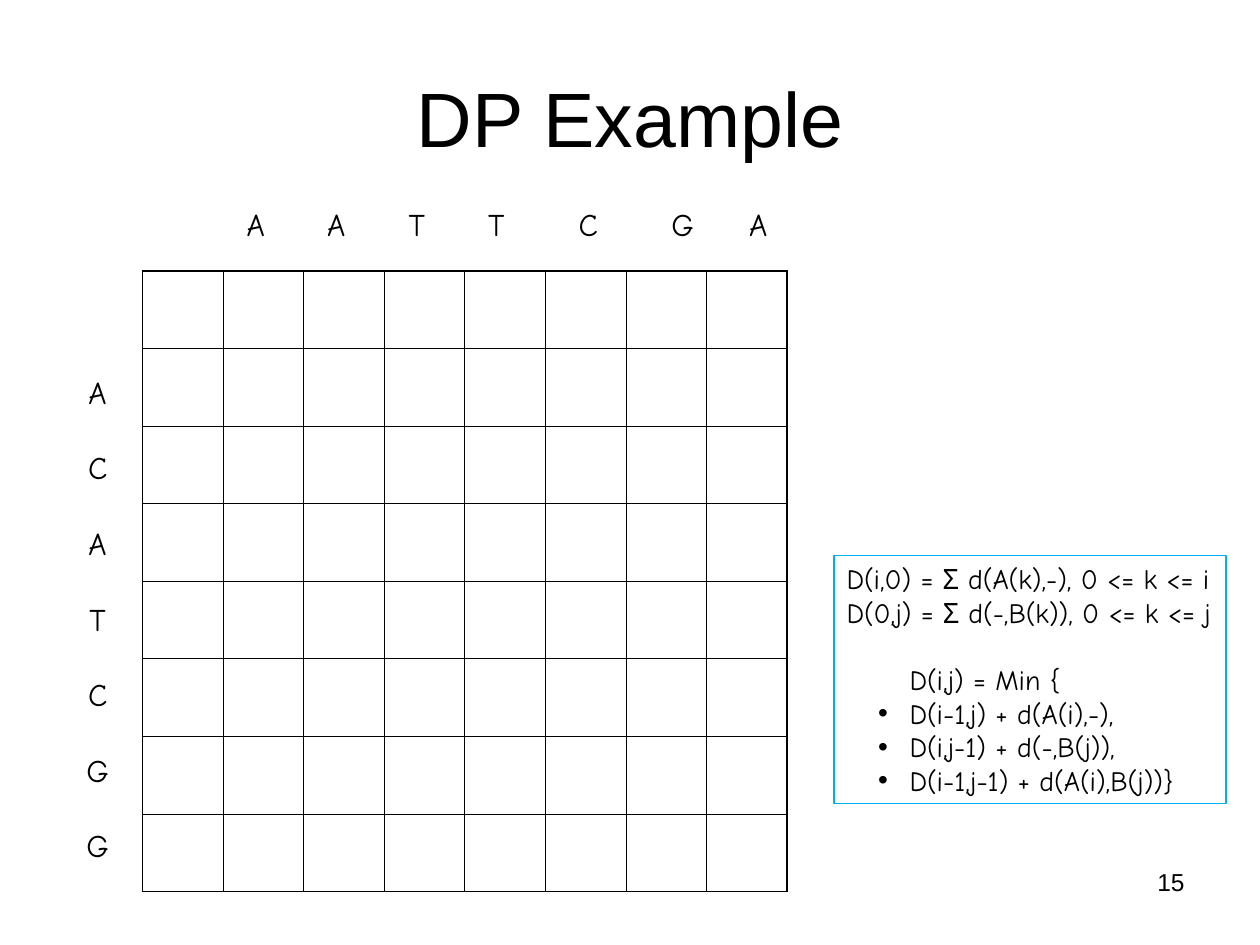
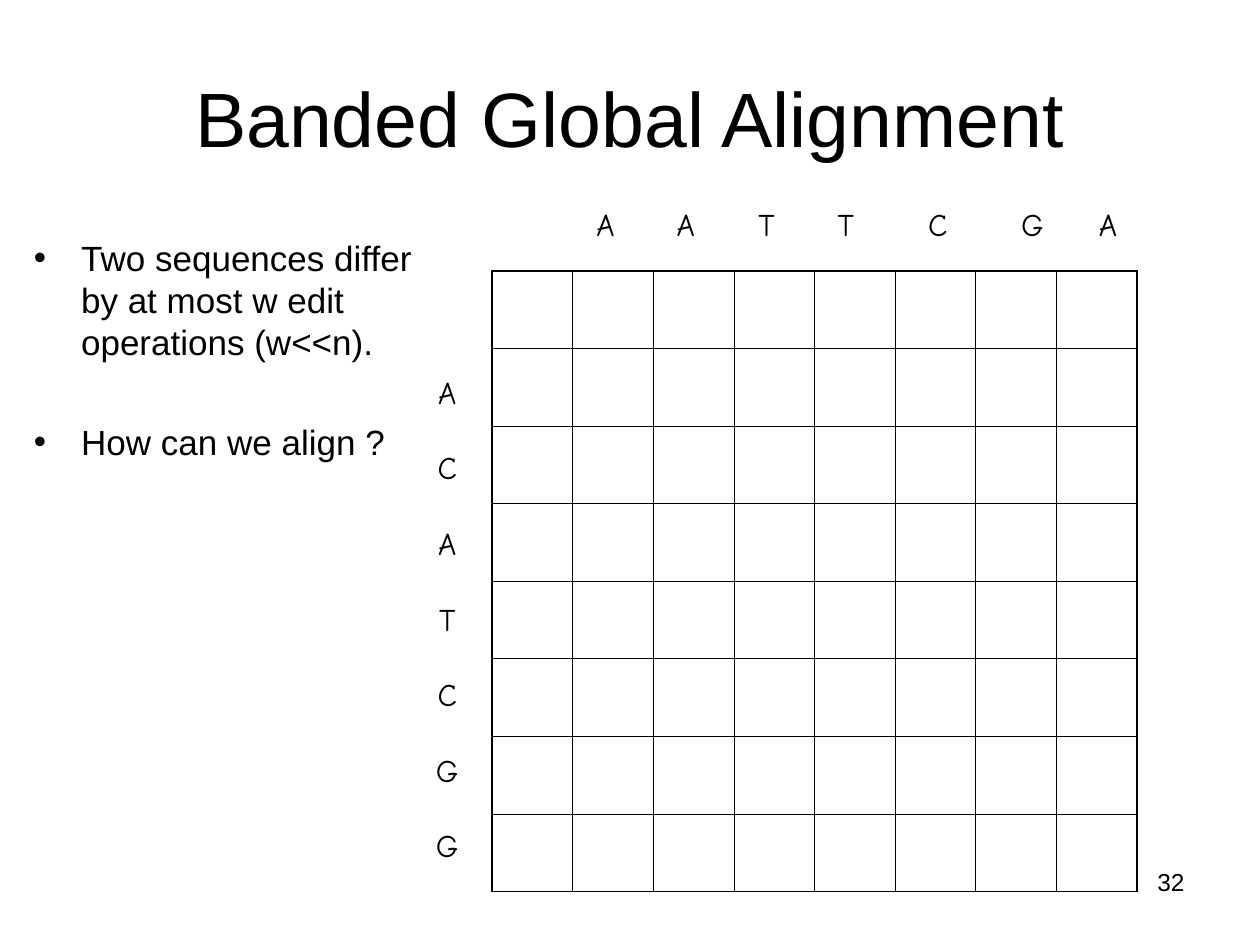
from lxml.etree import SubElement
from pptx import Presentation
from pptx.dml.color import RGBColor
from pptx.enum.shapes import MSO_SHAPE
from pptx.enum.text import MSO_ANCHOR as Anchor, PP_ALIGN as Align
from pptx.oxml.ns import qn
from pptx.util import Inches, Pt

COLOURS = {"ink": "000000", "formula_line": "00B0F0"}
SANS, HAND = "Arial", "Comic Neue"
COLUMNS, ROWS = 100, 75

TOP_SEQUENCE, SIDE_SEQUENCE = "AATTCGA", "ACATCGG"
LETTER_STOPS = [7.1, 13.5, 19.8, 27.1, 34.6, 40.6]  # columns, from the first letter
CELL, CELL_HEIGHT = 6.4, 6.16
INNER_LINE, OUTER_LINE = 0.45, 1.08


class Deck:
    """Holds the shared style and the current slide; lengths are grid columns and rows."""

    def __init__(self):
        self.prs = Presentation()
        self.prs.slide_width, self.prs.slide_height = Inches(10), Inches(7.5)
        self.slide = None

    def x(self, columns):
        return int(self.prs.slide_width * columns / COLUMNS)

    def y(self, rows):
        return int(self.prs.slide_height * rows / ROWS)

    def box(self, left, top, width, height):
        return self.x(left), self.y(top), self.x(width), self.y(height)

    def colour(self, name):
        return RGBColor.from_string(COLOURS[name])

    def set_lines(self, frame, lines, size, font, align=Align.LEFT, wrap=True):
        frame.text = "\n".join(lines)
        frame.word_wrap = wrap
        for paragraph in frame.paragraphs:
            paragraph.alignment = align
            for run in paragraph.runs:
                run.font.size, run.font.name = Pt(size), font
                run.font.color.rgb = self.colour("ink")
        return frame.paragraphs

    def text(self, area, lines, size, font, **style):
        frame = self.slide.shapes.add_textbox(*self.box(*area)).text_frame
        return self.set_lines(frame, lines, size, font, **style)

    def indent(self, paragraph, margin, hanging=0):
        """Indent a paragraph; a hanging part holds a bullet."""
        props = paragraph._p.get_or_add_pPr()
        props.set("marL", str(self.x(margin)))
        props.set("indent", str(-self.x(hanging)))
        if hanging:
            ink = SubElement(props, qn("a:buClr"))
            SubElement(ink, qn("a:srgbClr"), val=COLOURS["ink"])
            SubElement(props, qn("a:buFont"), typeface=SANS)
            SubElement(props, qn("a:buChar"), char="•")

    def new_slide(self, heading, number):
        self.slide = self.prs.slides.add_slide(self.prs.slide_layouts[5])
        title = self.slide.shapes.title
        title.left, title.top, title.width, title.height = self.box(5, 3, 90, 12.5)
        title.text_frame.vertical_anchor = Anchor.MIDDLE
        self.set_lines(title.text_frame, [heading], 44, SANS, Align.CENTER)
        self.text((71.7, 68.3, 23.3, 5.2), [str(number)], 14, SANS, align=Align.RIGHT)

    def border(self, cell, side, width):
        line = SubElement(cell._tc.get_or_add_tcPr(), qn(f"a:ln{side}"), w=str(Pt(width)))
        fill = SubElement(line, qn("a:solidFill"))
        SubElement(fill, qn("a:srgbClr"), val=COLOURS["ink"])

    def alignment_matrix(self, left):
        """Empty matrix with one sequence above it and one beside it."""
        columns, rows = len(TOP_SEQUENCE) + 1, len(SIDE_SEQUENCE) + 1
        area = self.box(left, 21.5, columns * CELL, rows * CELL_HEIGHT)
        matrix = self.slide.shapes.add_table(rows, columns, *area).table
        matrix.first_row = matrix.horz_banding = False
        for column in matrix.columns:
            column.width = self.x(CELL)
        for r, row in enumerate(matrix.rows):
            row.height = self.y(CELL_HEIGHT)
            for c, cell in enumerate(row.cells):
                edges = {"L": c == 0, "R": c == columns - 1, "T": r == 0, "B": r == rows - 1}
                for side, outer in edges.items():
                    self.border(cell, side, OUTER_LINE if outer else INNER_LINE)
                cell.fill.background()

        # Sequence above the columns
        above, = self.text((left + 7.3, 15.8, 45.9, 4), ["\t".join(TOP_SEQUENCE)], 18, HAND)
        stops = SubElement(above._p.get_or_add_pPr(), qn("a:tabLst"))
        for stop in LETTER_STOPS:
            SubElement(stops, qn("a:tab"), pos=str(self.x(stop)), algn="ctr")

        # Sequence beside the rows
        beside = self.text((left - 5.45, 29.1, 3.8, 40), SIDE_SEQUENCE, 18, HAND,
                           align=Align.CENTER, wrap=False)
        for letter in beside[1:]:
            letter.space_before = Pt(21.6)

    def formula_box(self, area, bases, recurrence, options):
        panel = self.slide.shapes.add_shape(MSO_SHAPE.RECTANGLE, *self.box(*area))
        panel.shadow.inherit = False
        panel.fill.background()
        panel.line.color.rgb = self.colour("formula_line")
        panel.line.width = Pt(0.75)
        panel.text_frame.vertical_anchor = Anchor.TOP
        lines = self.set_lines(panel.text_frame, [*bases, recurrence, *options], 16, HAND,
                               wrap=False)
        minimum, *choices = lines[len(bases):]
        minimum.space_before = Pt(19.2)
        self.indent(minimum, 5)
        for choice in choices:
            self.indent(choice, 5, 2.5)

    def bullets(self, area, points):
        for i, point in enumerate(self.text(area, points, 20, SANS)):
            self.indent(point, 3.75, 3.75)
            point.line_spacing = Pt(24)
            if i:
                point.space_before = Pt(33)


def main():
    deck = Deck()

    # Dynamic programming example
    deck.new_slide("DP Example", 15)
    deck.alignment_matrix(11.3)
    deck.formula_box(
        (66.2, 44.1, 31.1, 19.7),
        ["D(i,0) = Σ d(A(k),-), 0 <= k <= i", "D(0,j) = Σ d(-,B(k)), 0 <= k <= j"],
        "D(i,j) = Min {",
        ["D(i-1,j) + d(A(i),-),", "D(i,j-1) + d(-,B(j)),", "D(i-1,j-1) + d(A(i),B(j))}"])

    # Banded alignment
    deck.new_slide("Banded Global Alignment", 32)
    deck.bullets((1.7, 18.3, 32.6, 22.5), [
        "Two sequences differ by at most w edit operations (w<<n).", "How can we align ?"])
    deck.alignment_matrix(39.05)

    deck.prs.save("out.pptx")


if __name__ == "__main__":
    main()
